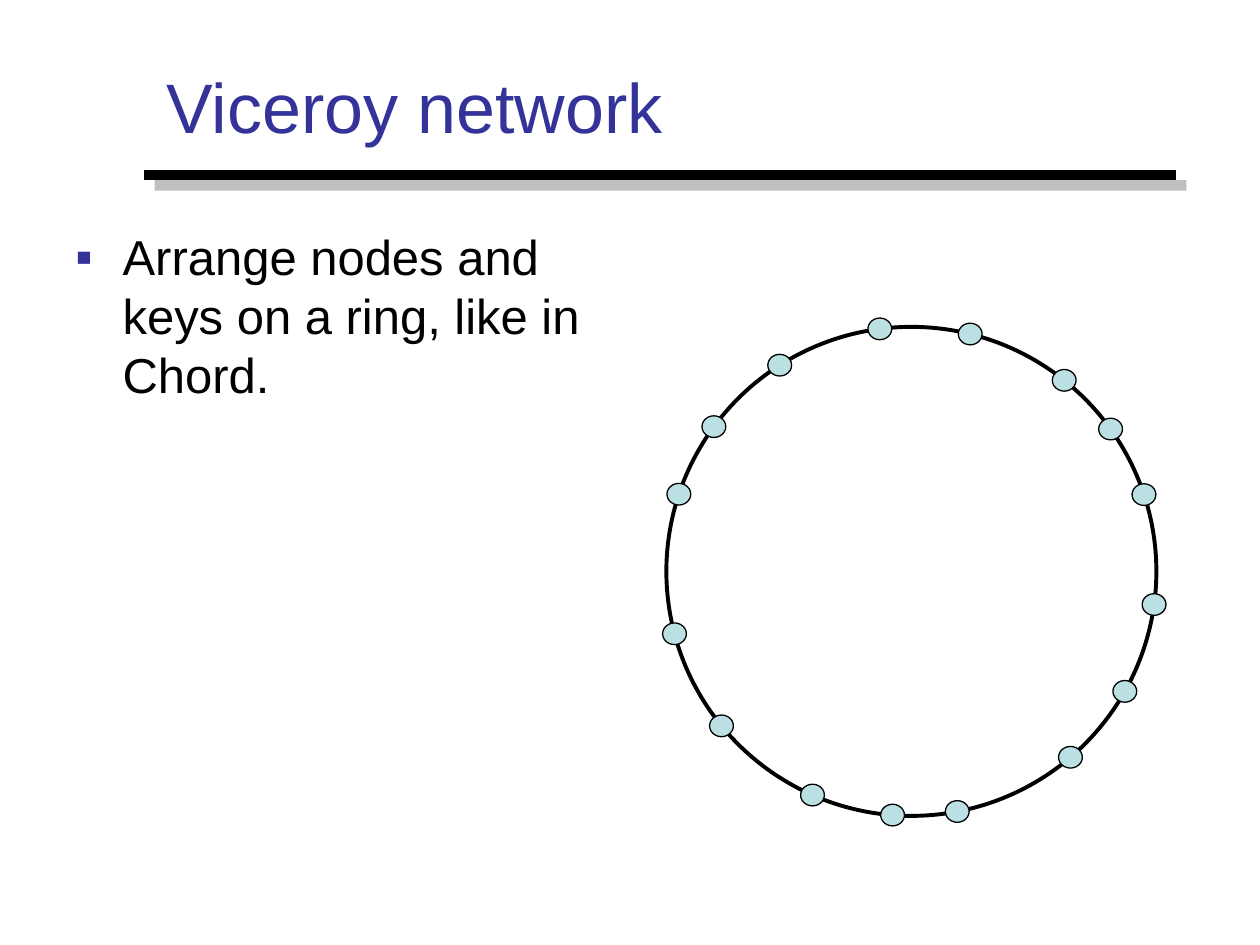
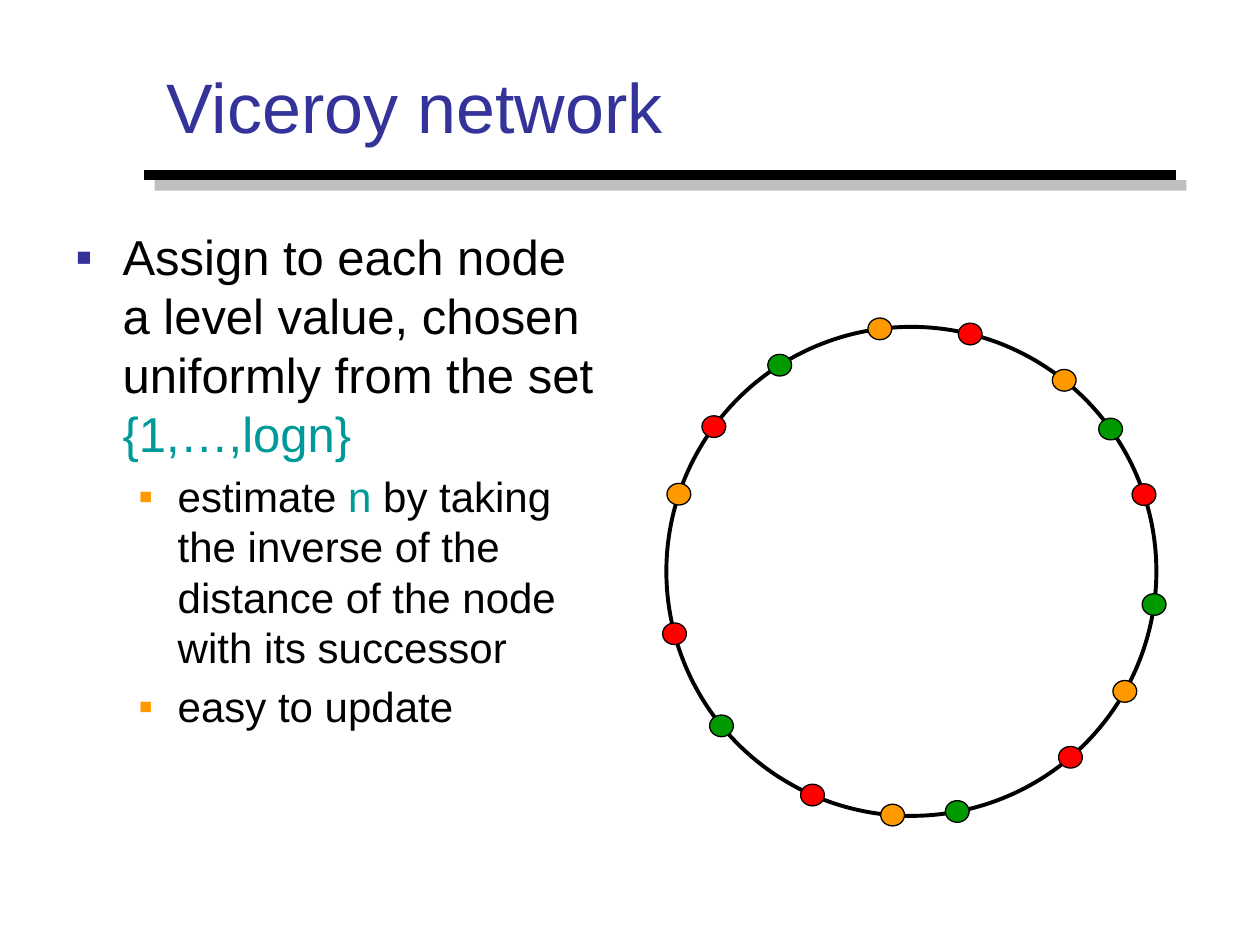
from dataclasses import dataclass
from math import cos, radians, sin

from lxml import etree
from pptx import Presentation
from pptx.dml.color import RGBColor
from pptx.enum.shapes import MSO_CONNECTOR, MSO_SHAPE
from pptx.enum.text import MSO_ANCHOR
from pptx.oxml.ns import qn
from pptx.util import Pt

LINE = MSO_CONNECTOR.STRAIGHT
OVAL = MSO_SHAPE.OVAL
TOP, MIDDLE = MSO_ANCHOR.TOP, MSO_ANCHOR.MIDDLE
BLANK = 6


@dataclass(frozen=True)
class Theme:
    font: str = "Arial"
    title: str = "333399"
    ink: str = "000000"
    shade: str = "808080"
    term: str = "009999"
    node: str = "BBE0E3"
    red: str = "FF0000"
    orange: str = "FF9900"
    green: str = "009900"
    head: int = 40
    sizes: tuple = (28, 24)
    marks: tuple = ("333399", "FF9900")
    indents: tuple = ((27, -27), (58.5, -22.5))


T = Theme()

# Boxes: left, top, width, height
HEAD = (88, 26.5, 607, 68)
RULE = (82.3, 100, 589.7)
BODY = (36, 126, 316, 356)
RING = (380.8, 186.8, 280, 279.4)
DOT = (13.6, 12.4)

# Node angles in degrees, clockwise from the top of the ring
ANGLES = (13.9, 38.6, 54.4, 71.7, 97.8, 119.4, 139.5, 169.2,
          184.4, 203.8, 230.8, 255.2, 288.4, 306.3, 327.5, 352.6)
PLAIN = [T.node] * len(ANGLES)
HUES = {"R": T.red, "O": T.orange, "G": T.green}
LEVELS = [HUES[key] for key in "ROGRGORGORGRORGO"]


def rgb(code):
    return RGBColor.from_string(code)


def child(parent, tag, **attrs):
    return etree.SubElement(parent, qn(tag), attrs)


def add_bullet(para, level):
    """Hang the paragraph on a square mark in the colour of its level."""
    props = para._p.get_or_add_pPr()
    margin, hang = T.indents[level]
    props.set("marL", str(Pt(margin)))
    props.set("indent", str(Pt(hang)))
    child(child(props, "a:buClr"), "a:srgbClr", val=T.marks[level])
    child(props, "a:buFont", typeface=T.font)
    child(props, "a:buChar", char="▪")


def add_text(slide, box, paras, size=None, color=T.ink, anchor=TOP,
             bullets=False):
    """Each paragraph is (level, runs); each run is (words, colour or None)."""
    frame = slide.shapes.add_textbox(*map(Pt, box)).text_frame
    frame.word_wrap = True
    frame.vertical_anchor = anchor
    for pos, (level, runs) in enumerate(paras):
        para = frame.add_paragraph() if pos else frame.paragraphs[0]
        points = size or T.sizes[level]
        para.level = level
        if bullets:
            add_bullet(para, level)
        if pos:
            para.space_before = Pt(0.2 * points)
        for words, tint in runs:
            run = para.add_run()
            run.text = words
            run.font.name = T.font
            run.font.size = Pt(points)
            run.font.color.rgb = rgb(tint or color)


def add_rule(slide, box):
    left, top, width = box
    rule = slide.shapes.add_connector(
        LINE, Pt(left), Pt(top), Pt(left + width), Pt(top))
    rule.line.color.rgb = rgb(T.ink)
    rule.line.width = Pt(6)
    # Half-clear shadow, down and to the right
    effects = child(rule._element.spPr, "a:effectLst")
    shadow = child(effects, "a:outerShdw", dist=str(Pt(8.5)),
                   dir="2700000", algn="ctr", rotWithShape="0")
    shade = child(shadow, "a:srgbClr", val=T.shade)
    child(shade, "a:alpha", val="50000")


def add_oval(slide, box, weight, fill=None):
    oval = slide.shapes.add_shape(OVAL, *map(Pt, box))
    oval.shadow.inherit = False
    oval.line.color.rgb = rgb(T.ink)
    oval.line.width = Pt(weight)
    if fill:
        oval.fill.solid()
        oval.fill.fore_color.rgb = rgb(fill)
    else:
        oval.fill.background()


def add_ring(slide, box, fills):
    left, top, width, height = box
    add_oval(slide, box, 2.25)
    # Nodes centred on the ring
    wide, high = DOT
    for angle, fill in zip(ANGLES, fills):
        turn = radians(angle)
        x = left + width / 2 * (1 + sin(turn)) - wide / 2
        y = top + height / 2 * (1 - cos(turn)) - high / 2
        add_oval(slide, (x, y, wide, high), 0.75, fill)


def add_page(deck, title, points, fills):
    slide = deck.slides.add_slide(deck.slide_layouts[BLANK])
    add_rule(slide, RULE)
    add_text(slide, HEAD, [(0, [(title, None)])], size=T.head,
             color=T.title, anchor=MIDDLE)
    add_text(slide, BODY, points, bullets=True)
    add_ring(slide, RING, fills)


def main():
    deck = Presentation()
    deck.slide_width, deck.slide_height = Pt(720), Pt(540)
    title = "Viceroy network"

    # Nodes on the ring
    add_page(deck, title, [
        (0, [("Arrange nodes and keys on a ring, like in Chord.", None)]),
    ], PLAIN)

    # Nodes coloured by level
    add_page(deck, title, [
        (0, [("Assign to each node a level value, chosen uniformly "
              "from the set ", None), ("{1,…,logn}", T.term)]),
        (1, [("estimate ", None), ("n", T.term),
             (" by taking the inverse of the distance of the node "
              "with its successor", None)]),
        (1, [("easy to update", None)]),
    ], LEVELS)

    deck.save("out.pptx")


if __name__ == "__main__":
    main()
